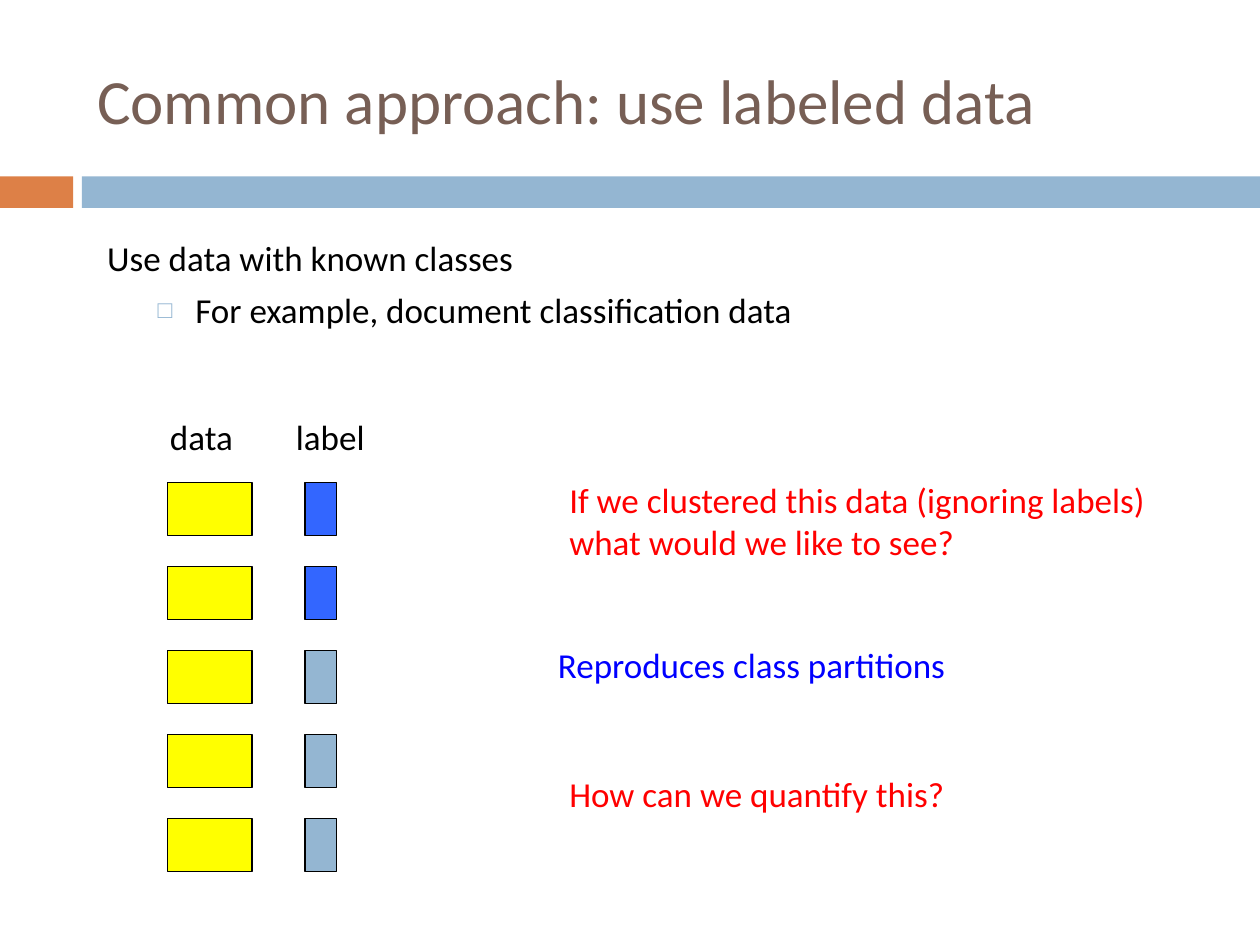
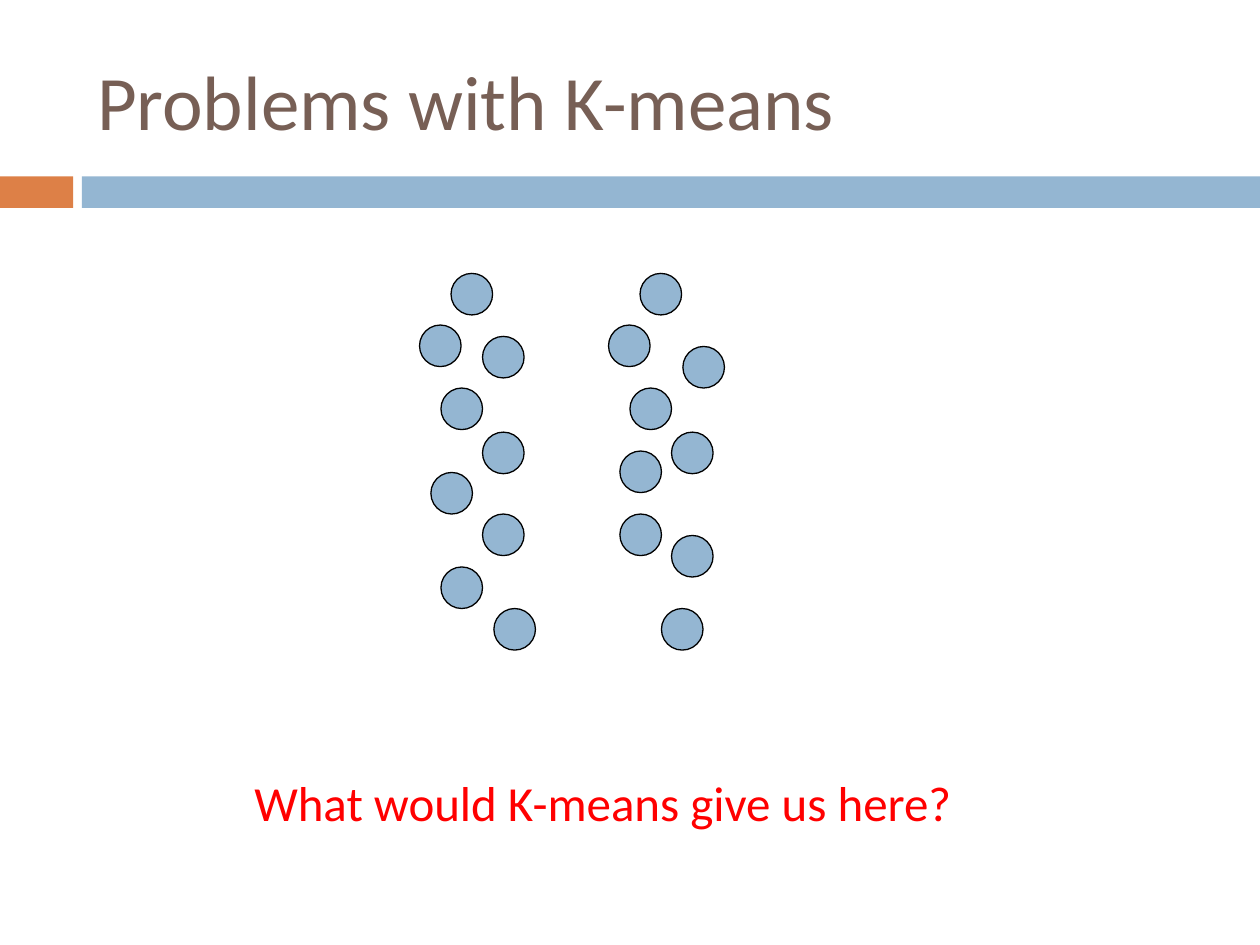
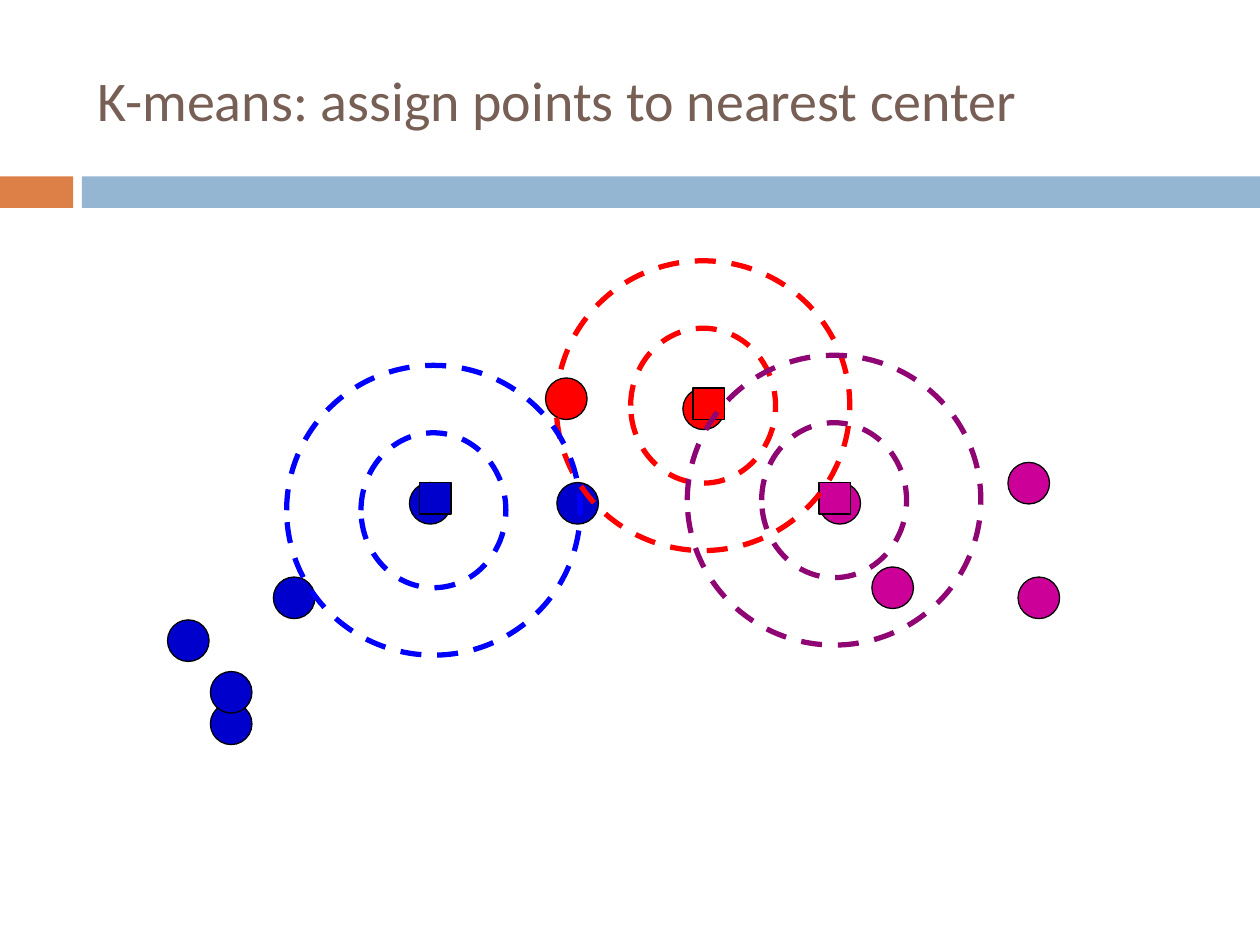
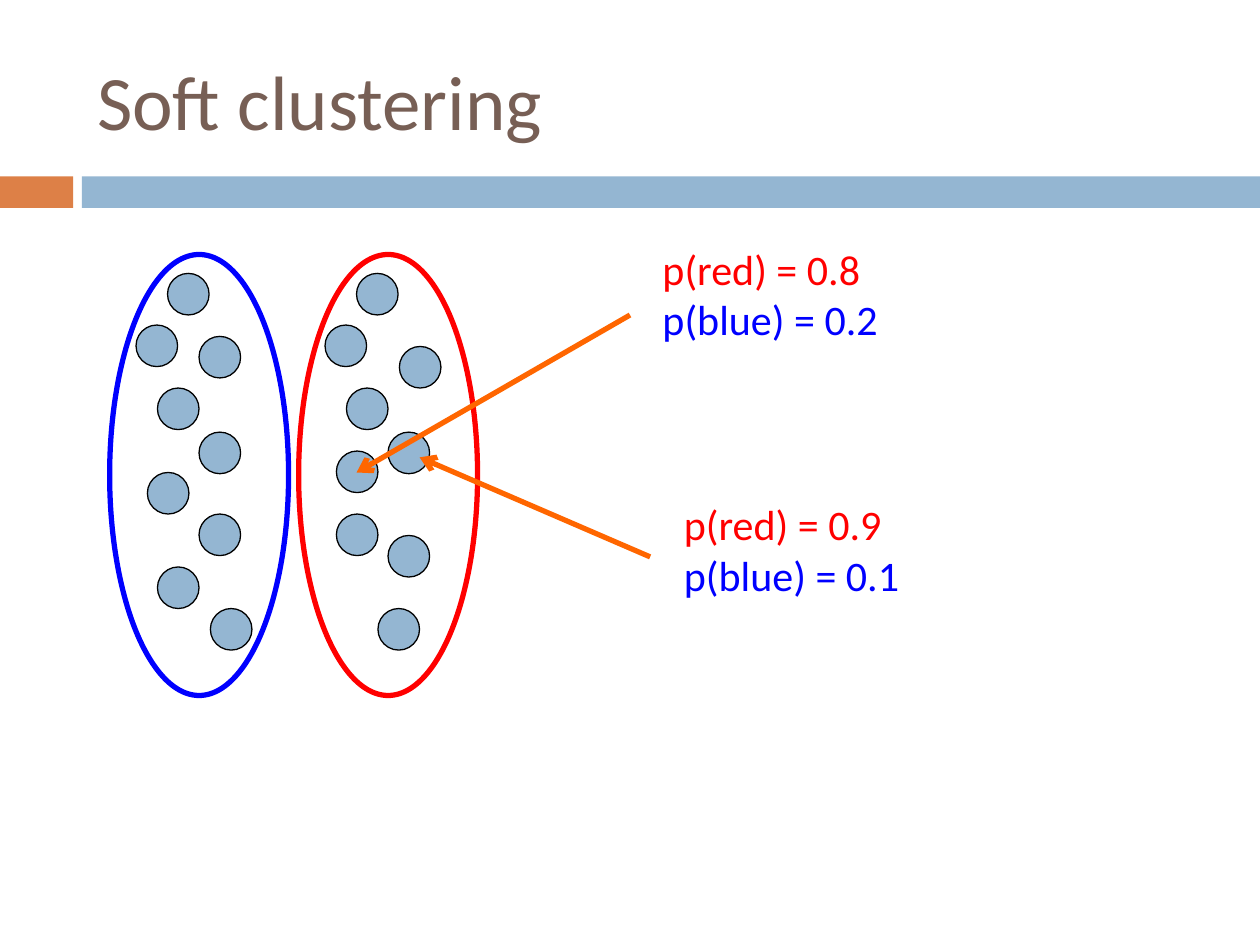
import pptx
import pptx.dml.color
import pptx.enum.dml
import pptx.enum.shapes
import pptx.enum.text
import pptx.oxml.ns
import pptx.util
from lxml import etree

Inches = pptx.util.Inches
Pt = pptx.util.Pt
SHAPE = pptx.enum.shapes.MSO_SHAPE
qn = pptx.oxml.ns.qn

FONT = "Calibri"
COLORS = {
    "title": "775F55", "accent": "DD8047", "steel": "94B6D2",
    "black": "000000", "red": "FF0000", "blue": "0000FF",
    "yellow": "FFFF00", "label_blue": "3366FF", "point_blue": "0000CC",
    "magenta": "CC0099", "purple": "8E0573", "orange": "FF6600",
}
TITLE_ONLY, TITLE_AND_BODY = 5, 1
POINT_SIZE = 0.33
CENTER_SIZE = 0.25

# Left and top of each point in the two long clusters
LEFT_CLUSTER = [(3.58, 2.17), (3.33, 2.58), (3.5, 3.08), (3.83, 2.67), (3.83, 3.43),
                (3.42, 3.75), (3.83, 4.08), (3.5, 4.5), (3.92, 4.83)]
RIGHT_CLUSTER = [(5.08, 2.17), (4.83, 2.58), (5, 3.08), (5.42, 2.75), (5.33, 3.43),
                 (4.92, 3.58), (5.33, 4.25), (4.92, 4.08), (5.25, 4.83)]


def rgb(color):
    return pptx.dml.color.RGBColor.from_string(COLORS[color])


def add_outline(shapes, kind, box, fill=None, line="black", width=0.75, dash=None):
    """Add a preset shape; box is left, top, width, height in inches."""
    shape = shapes.add_shape(kind, *map(Inches, box))
    shape.shadow.inherit = False
    if fill:
        shape.fill.solid()
        shape.fill.fore_color.rgb = rgb(fill)
    else:
        shape.fill.background()
    if line:
        shape.line.color.rgb = rgb(line)
        shape.line.width = Pt(width)
        if dash:
            shape.line.dash_style = dash
    else:
        shape.line.fill.background()
    return shape


def add_point(shapes, left, top, color="steel"):
    add_outline(shapes, SHAPE.OVAL, (left, top, POINT_SIZE, POINT_SIZE), color)


def add_run(paragraph, text, size, color):
    run = paragraph.add_run()
    run.text = text
    run.font.name = FONT
    run.font.size = Pt(size)
    run.font.color.rgb = rgb(color)


def add_note(slide, box, lines, size=20):
    """Add a text box with one paragraph per (text, color) pair."""
    frame = slide.shapes.add_textbox(*map(Inches, box)).text_frame
    frame.word_wrap = True
    for index, (text, color) in enumerate(lines):
        paragraph = frame.add_paragraph() if index else frame.paragraphs[0]
        add_run(paragraph, text, size, color)


def place(placeholder, box):
    placeholder.left, placeholder.top, placeholder.width, placeholder.height = map(Inches, box)
    placeholder.text_frame.auto_size = pptx.enum.text.MSO_AUTO_SIZE.NONE


def add_slide(deck, title, size, layout=TITLE_ONLY):
    slide = deck.slides.add_slide(deck.slide_layouts[layout])
    heading = slide.shapes.title
    place(heading, (0.67, 0.25, 8.92, 1.08))
    heading.text_frame.vertical_anchor = pptx.enum.text.MSO_ANCHOR.MIDDLE
    paragraph = heading.text_frame.paragraphs[0]
    paragraph.alignment = pptx.enum.text.PP_ALIGN.LEFT
    add_run(paragraph, title, size, "title")
    return slide


def move_bands_to_master(deck, slide):
    """Draw the two bands and hang them on the master, so every slide shows them."""
    for left, width, color in [(0, 0.58, "accent"), (0.65, 9.35, "steel")]:
        band = add_outline(slide.shapes, SHAPE.RECTANGLE, (left, 1.4, width, 0.25), color, None)
        deck.slide_master.shapes.element.append(band.element)


def set_indent(paragraph, margin, indent):
    properties = paragraph._p.get_or_add_pPr()
    properties.set("marL", str(Inches(margin)))
    properties.set("indent", str(Inches(indent)))
    return properties


def add_square_bullet(properties):
    color = etree.SubElement(properties, qn("a:buClr"))
    etree.SubElement(color, qn("a:srgbClr"), val=COLORS["steel"])
    etree.SubElement(properties, qn("a:buSzPct"), val="70000")
    etree.SubElement(properties, qn("a:buChar"), char="□")


def add_arrow(slide, start, end):
    arrow = slide.shapes.add_connector(
        pptx.enum.shapes.MSO_CONNECTOR.STRAIGHT, *map(Inches, start + end))
    arrow.line.color.rgb = rgb("orange")
    arrow.line.width = Pt(3)
    etree.SubElement(arrow.line._get_or_add_ln(), qn("a:tailEnd"), type="arrow")
    etree.SubElement(arrow.element.spPr, qn("a:effectLst"))


def add_rings(slide, center_x, center_y, color):
    for width, height in [(2.33, 2.3), (1.15, 1.23)]:
        box = (center_x - width / 2, center_y - height / 2, width, height)
        add_outline(slide.shapes, SHAPE.OVAL, box, None, color, 3,
                    pptx.enum.dml.MSO_LINE.DASH)


def build_labeled_data(deck):
    slide = add_slide(deck, "Common approach: use labeled data", 36, TITLE_AND_BODY)
    move_bands_to_master(deck, slide)

    # Opening statement and its example
    body = slide.placeholders[1]
    place(body, (0.75, 1.83, 9, 1.08))
    statement = body.text_frame.paragraphs[0]
    etree.SubElement(set_indent(statement, 0, 0), qn("a:buNone"))
    statement.space_before = Pt(0)
    add_run(statement, "Use data with known classes", 20, "black")
    example = body.text_frame.add_paragraph()
    example.level = 1
    add_square_bullet(set_indent(example, 0.7, -0.3))
    example.space_before = Pt(5.5)
    add_run(example, "For example, document classification data", 20, "black")

    # Data rows with their labels
    for row, label in enumerate(["label_blue"] * 2 + ["steel"] * 3):
        top = 3.83 + row * 2 / 3
        add_outline(slide.shapes, SHAPE.RECTANGLE, (1.33, top, 0.67, 0.42), "yellow")
        add_outline(slide.shapes, SHAPE.RECTANGLE, (2.42, top, 0.25, 0.42), label)
    add_note(slide, (1.25, 3.25, 0.79, 0.44), [("data", "black")])
    add_note(slide, (2.25, 3.25, 0.77, 0.44), [("label", "black")])

    # Questions and answer
    add_note(slide, (4.42, 3.75, 4.83, 0.77),
             [("If we clustered this data (ignoring labels) what would we like to see?", "red")])
    add_note(slide, (4.33, 5.06, 3.94, 0.77), [("Reproduces class partitions", "blue")])
    add_note(slide, (4.42, 6.08, 4.83, 0.44), [("How can we quantify this?", "red")])


def build_problems(deck):
    slide = add_slide(deck, "Problems with K-means", 44)
    for cluster in (LEFT_CLUSTER, RIGHT_CLUSTER):
        group = slide.shapes.add_group_shape()
        for left, top in cluster:
            add_point(group.shapes, left, top)
    add_note(slide, (1.92, 6.08, 6.5, 0.57), [("What would K-means give us here?", "red")], 28)


def build_assignment(deck):
    slide = add_slide(deck, "K-means: assign points to nearest center", 32)

    # Points, coloured by nearest center
    assigned = {
        "point_blue": [(1.67, 5.58), (1.33, 4.92), (2.17, 4.58), (4.42, 3.83),
                       (3.25, 3.83), (1.67, 5.33)],
        "red": [(4.33, 3), (5.42, 3.08)],
        "magenta": [(8, 3.67), (8.08, 4.58), (6.5, 3.83), (6.92, 4.5)],
    }
    for color, points in assigned.items():
        for left, top in points:
            add_point(slide.shapes, left, top, color)

    # Centers and the rings around them
    for left, top, color in [(3.33, 3.83, "point_blue"), (5.5, 3.08, "red"),
                             (6.5, 3.83, "magenta")]:
        add_outline(slide.shapes, SHAPE.RECTANGLE, (left, top, CENTER_SIZE, CENTER_SIZE), color)
    add_rings(slide, 5.58, 3.22, "red")
    add_rings(slide, 6.62, 3.97, "purple")
    add_rings(slide, 3.44, 4.05, "blue")


def build_soft_clustering(deck):
    slide = add_slide(deck, "Soft clustering", 44)
    for left, top in LEFT_CLUSTER + RIGHT_CLUSTER:
        add_point(slide.shapes, left - 2.25, top)
    for left, color in [(0.87, "blue"), (2.37, "red")]:
        add_outline(slide.shapes, SHAPE.OVAL, (left, 2.02, 1.42, 3.5), None, color, 3)

    # Membership probabilities of two points
    for start, end, corner, red, blue in [
        ((5, 2.5), (2.83, 3.75), (5.16, 1.88), "0.8", "0.2"),
        ((5.16, 4.42), (3.33, 3.63), (5.33, 3.91), "0.9", "0.1"),
    ]:
        add_arrow(slide, start, end)
        add_note(slide, corner + (2, 0.91),
                 [(f"p(red) = {red}", "red"), (f"p(blue) = {blue}", "blue")], 24)


def main():
    deck = pptx.Presentation()
    deck.slide_width, deck.slide_height = Inches(10), Inches(7.5)
    build_labeled_data(deck)
    build_problems(deck)
    build_assignment(deck)
    build_soft_clustering(deck)
    deck.save("out.pptx")


if __name__ == "__main__":
    main()
